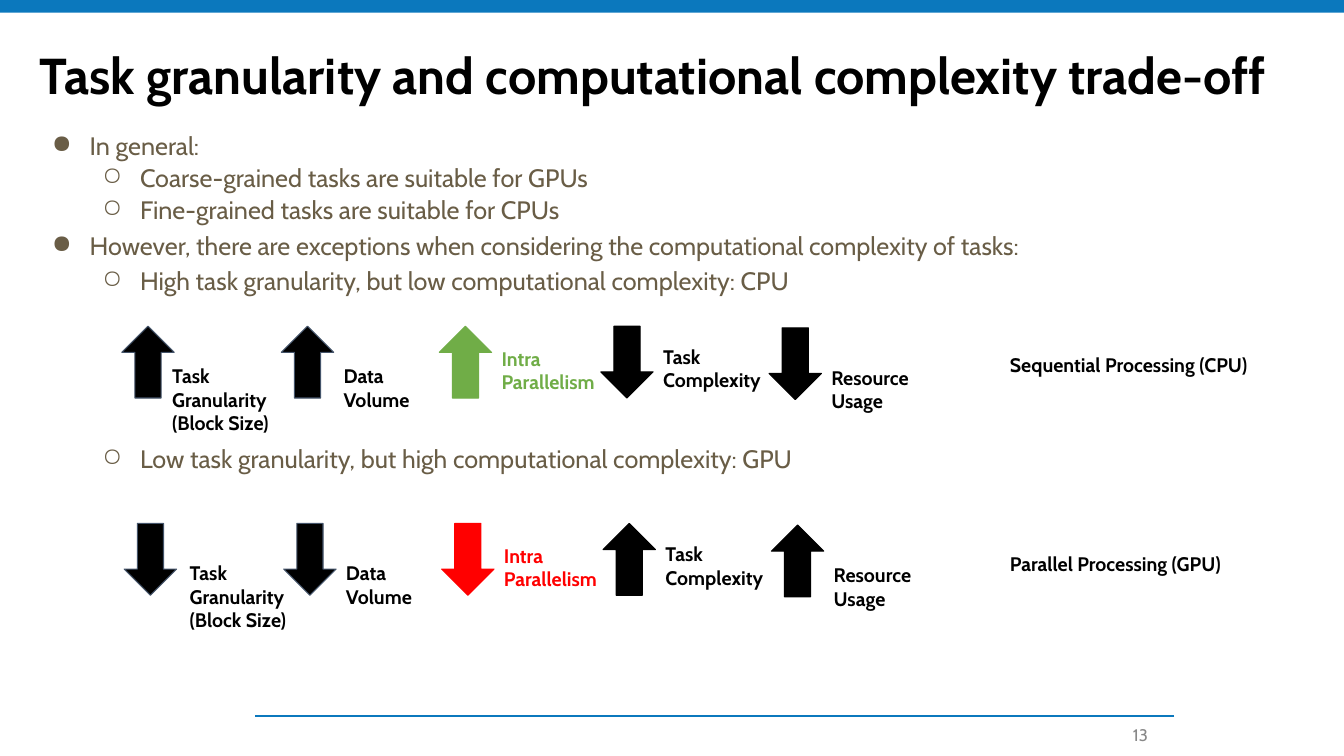
from lxml.etree import SubElement
from pptx import Presentation
from pptx.dml.color import RGBColor
from pptx.enum.shapes import MSO_CONNECTOR, MSO_SHAPE
from pptx.enum.text import MSO_ANCHOR, PP_ALIGN
from pptx.oxml.ns import qn
from pptx.util import Cm, Pt

FONT = "Cabin"
HUE = {"blue": "0B78BD", "text": "695D46", "black": "000000", "slate": "44546A",
       "green": "70AD47", "red": "FF0000", "gray": "888888"}

TITLE = "Task granularity and computational complexity trade-off"
# Bullet blocks: top, height, line spacing, (level, text)
BLOCKS = [
    (3.0, 3.0, 1.05, [(0, "In general:"),
                      (1, "Coarse-grained tasks are suitable for GPUs"),
                      (1, "Fine-grained tasks are suitable for CPUs")]),
    (5.44, 2.41, 1.15, [
        (0, "However, there are exceptions when considering the "
            "computational complexity of tasks:"),
        (1, "High task granularity, but low computational complexity: CPU")]),
    (10.82, 1.75, 1.15, [
        (1, "Low task granularity, but high computational complexity: GPU")]),
]
# Factors: label lines, left, arrow drop, label drop, label width, outline
FACTORS = [
    (["Task Granularity", "(Block Size)"], 3.07, 0, 0.7, 3.0, "slate"),
    (["Data Volume"], 7.09, 0, 0.7, 2.67, "slate"),
    (["Intra", "Parallelism"], 11.07, 0, 0.26, 3.0, None),
    (["Task", "Complexity"], 15.14, 0, 0.22, 3.0, "black"),
    (["Resource", "Usage"], 19.38, 0.04, 0.75, 3.0, "black"),
]
# Cases: left shift, top, ups, parallelism colour, first label gap, result, its top
CASES = [
    (0, 8.22, (1, 1, 1, 0, 0), "green", 1.02, "Sequential Processing (CPU)", 8.64),
    (0.06, 13.19, (0, 0, 0, 1, 1), "red", 1.4, "Parallel Processing (GPU)", 13.67),
]
ARROW_W, ARROW_H = 1.32, 1.81
BODY_X, BODY_W = 0.74, 32.38
BULLETS = "●○"


def rgb(name):
    return RGBColor.from_string(HUE[name])


def write(par, text, size, hue, bold=False):
    run = par.add_run()
    run.text = text
    font = run.font
    font.name, font.size, font.bold = FONT, Pt(size), bold
    font.color.rgb = rgb(hue)


def add_box(shapes, x, y, w, h, pad=0.25):
    frame = shapes.add_textbox(Cm(x), Cm(y), Cm(w), Cm(h)).text_frame
    frame.word_wrap = True
    frame.margin_left = frame.margin_right = Cm(0.25)
    frame.margin_top = frame.margin_bottom = Cm(pad)
    return frame


def add_pars(frame, count):
    return [frame.paragraphs[0]] + [frame.add_paragraph() for _ in range(count - 1)]


def add_label(shapes, x, y, w, h, lines, hue):
    frame = add_box(shapes, x, y, w, h)
    for par, line in zip(add_pars(frame, len(lines)), lines):
        write(par, line, 14, hue, True)


def add_bullet(par, level):
    par.level = level
    props = par._p.get_or_add_pPr()
    props.set("marL", str(Cm(1.27 * (level + 1))))
    props.set("indent", str(Cm(-0.95)))
    color = SubElement(props, qn("a:buClr"))
    SubElement(color, qn("a:srgbClr"), val=HUE["text"])
    SubElement(props, qn("a:buChar"), char=BULLETS[level])


def add_shape(shapes, kind, x, y, w, h, fill, edge=None):
    shape = shapes.add_shape(kind, Cm(x), Cm(y), Cm(w), Cm(h))
    shape.shadow.inherit = False
    shape.fill.solid()
    shape.fill.fore_color.rgb = rgb(fill)
    if edge:
        shape.line.color.rgb = rgb(edge)
        shape.line.width = Pt(0.75)
    else:
        shape.line.fill.background()
    return shape


def main():
    prs = Presentation()
    prs.slide_width, prs.slide_height = Cm(33.87), Cm(19.05)
    shapes = prs.slides.add_slide(prs.slide_layouts[6]).shapes

    # Top band and footer rule
    add_shape(shapes, MSO_SHAPE.RECTANGLE, 0, 0, 33.87, 0.32, "blue")
    rule = shapes.add_connector(MSO_CONNECTOR.STRAIGHT,
                                Cm(29.59), Cm(18.05), Cm(6.43), Cm(18.05))
    rule.line.color.rgb = rgb("blue")
    rule.line.width = Pt(1.5)
    SubElement(rule._element.spPr, qn("a:effectLst"))

    # Title
    par = add_box(shapes, BODY_X, 1.04, BODY_W, 1.96).paragraphs[0]
    par.line_spacing = 0.9
    write(par, TITLE, 36, "black", True)

    # Bullets
    for top, height, space, items in BLOCKS:
        frame = add_box(shapes, BODY_X, top, BODY_W, height)
        for par, (level, text) in zip(add_pars(frame, len(items)), items):
            par.line_spacing = space
            add_bullet(par, level)
            write(par, text, 18, "text")

    # Arrows with their labels, and the result of each case
    for shift, top, ups, accent, gap, result, end in CASES:
        for i, (lines, left, drop, fall, width, edge) in enumerate(FACTORS):
            hue = "black" if edge else accent
            group = shapes.add_group_shape().shapes
            x = left + shift
            arrow = add_shape(group, MSO_SHAPE.UP_ARROW, x, top + drop,
                              ARROW_W, ARROW_H, hue, edge or accent)
            arrow.rotation = 0 if ups[i] else 180
            step = ARROW_W if i else gap
            high = 2.31 if i == 0 else 1.7
            add_label(group, x + step, top + fall, width, high, lines, hue)
        add_label(shapes, 25.2, end, 6.73, 1.12, [result], "black")

    # Page number
    frame = add_box(shapes, 21.56, 18.01, 7.62, 1.02, 0.13)
    frame.vertical_anchor = MSO_ANCHOR.MIDDLE
    par = frame.paragraphs[0]
    par.alignment = PP_ALIGN.RIGHT
    write(par, "13", 12, "gray")

    prs.save("out.pptx")


if __name__ == "__main__":
    main()
